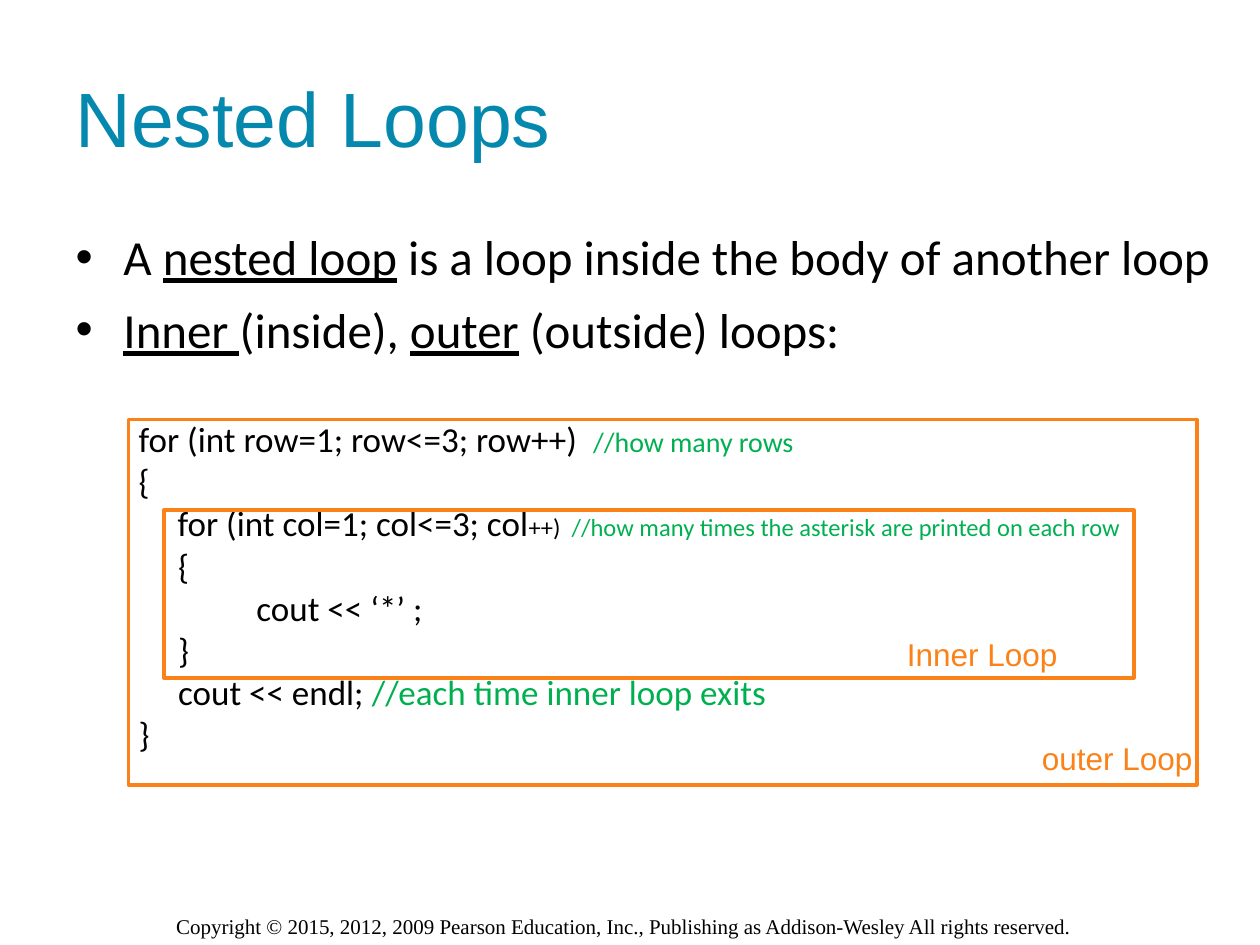
from dataclasses import dataclass

from lxml.etree import SubElement
from pptx import Presentation
from pptx.dml.color import RGBColor
from pptx.enum.shapes import MSO_SHAPE
from pptx.enum.text import MSO_ANCHOR, MSO_AUTO_SIZE, PP_ALIGN
from pptx.oxml.ns import qn
from pptx.util import Inches, Pt

BLACK = RGBColor(0x00, 0x00, 0x00)
TEAL = RGBColor(0x04, 0x88, 0xAE)
GREEN = RGBColor(0x00, 0xB0, 0x50)
ORANGE = RGBColor(0xFA, 0x82, 0x18)


@dataclass
class Piece:
    """A stretch of text; unset values follow the paragraph."""
    text: str
    size: float | None = None
    color: RGBColor | None = None
    underline: bool | None = None


@dataclass
class Box:
    left: float
    top: float
    width: float
    height: float


@dataclass
class Label:
    text: str
    box: Box
    size: float
    font_name: str
    color: RGBColor


BULLETS = [
    [Piece("A "), Piece("nested loop", underline=True),
     Piece(" is a loop inside the body of another loop")],
    [Piece("Inner ", underline=True), Piece("(inside), "),
     Piece("outer", underline=True), Piece(" (outside) loops:")],
]
CODE = [
    [Piece("for (int row=1; row<=3; row++)  "), Piece("//how many rows", 16, GREEN)],
    [Piece("{")],
    [Piece("\tfor (int col=1; col<=3; col"), Piece("++)  ", 14),
     Piece("//how many times the asterisk are printed on each row", 14, GREEN)],
    [Piece("     {")],
    [Piece("\t\t  cout << ‘*’ ;")],
    [Piece("     }")],
    [Piece("     cout << endl; "), Piece("//each time inner loop exits", color=GREEN)],
    [Piece("}")],
]
LOOP_FRAMES = [Box(1.3, 4.05, 7.7, 1.33), Box(1.02, 3.33, 8.48, 2.9)]
LABELS = [
    Label("Inner Loop", Box(7.1, 4.99, 1.5, 0.4), 18, "Arial", ORANGE),
    Label("outer Loop", Box(8.17, 5.82, 1.5, 0.4), 18, "Arial", ORANGE),
    Label("Copyright © 2015, 2012, 2009 Pearson Education, Inc., Publishing as "
          "Addison-Wesley All rights reserved.",
          Box(1.3, 7.2, 7.42, 0.3), 12, "Times New Roman", BLACK),
]


def place(shape, box: Box) -> None:
    shape.left, shape.top = Inches(box.left), Inches(box.top)
    shape.width, shape.height = Inches(box.width), Inches(box.height)


def set_font(paragraph, name: str, size: float, color: RGBColor) -> None:
    font = paragraph.font
    font.name, font.size = name, Pt(size)
    font.color.rgb = color


def set_indent(paragraph, margin: float, hanging: float) -> None:
    properties = paragraph._p.get_or_add_pPr()
    properties.set("marL", str(Inches(margin)))
    properties.set("indent", str(-Inches(hanging)))


def add_pieces(paragraph, pieces: list[Piece]) -> None:
    for piece in pieces:
        run = paragraph.add_run()
        run.text = piece.text
        if piece.size:
            run.font.size = Pt(piece.size)
        if piece.color:
            run.font.color.rgb = piece.color
        if piece.underline:
            run.font.underline = True


def format_bullet(paragraph, space_before: float) -> None:
    paragraph.space_before = Pt(space_before)
    set_indent(paragraph, 0.38, 0.38)
    SubElement(paragraph._p.get_or_add_pPr(), qn("a:buChar"), char="•")
    set_font(paragraph, "Calibri", 28, BLACK)


def format_code(paragraph, space_before: float) -> None:
    paragraph.level = 1
    paragraph.space_before = Pt(space_before)
    set_indent(paragraph, 0.81, 0.31)
    properties = paragraph._p.get_or_add_pPr()
    SubElement(properties, qn("a:buNone"))
    tabs = SubElement(properties, qn("a:tabLst"))
    for position in range(8):
        SubElement(tabs, qn("a:tab"), pos=str(Inches(position)), algn="l")
    set_font(paragraph, "Calibri", 20, BLACK)


def fill_body(body) -> None:
    frame = body.text_frame
    frame.auto_size = MSO_AUTO_SIZE.NONE
    for index, pieces in enumerate(BULLETS):
        paragraph = frame.add_paragraph() if index else frame.paragraphs[0]
        format_bullet(paragraph, 8 if index else 0)
        add_pieces(paragraph, pieces)
    for index, pieces in enumerate(CODE):
        paragraph = frame.add_paragraph()
        format_code(paragraph, 0 if index else 34)
        add_pieces(paragraph, pieces)


def add_frame(slide, box: Box) -> None:
    frame = slide.shapes.add_shape(MSO_SHAPE.RECTANGLE, 0, 0, 0, 0)
    place(frame, box)
    frame.shadow.inherit = False
    frame.fill.background()
    frame.line.color.rgb = ORANGE
    frame.line.width = Pt(2)


def add_label(slide, label: Label) -> None:
    text_box = slide.shapes.add_textbox(0, 0, 0, 0)
    place(text_box, label.box)
    text_box.text_frame.word_wrap = True
    paragraph = text_box.text_frame.paragraphs[0]
    paragraph.text = label.text
    set_font(paragraph, label.font_name, label.size, label.color)


def main() -> None:
    presentation = Presentation()
    presentation.slide_width, presentation.slide_height = Inches(10), Inches(7.5)
    slide = presentation.slides.add_slide(presentation.slide_layouts[1])

    # Title
    title = slide.shapes.title
    place(title, Box(0.5, 0.3, 9, 1.25))
    title.text_frame.vertical_anchor = MSO_ANCHOR.MIDDLE
    heading = title.text_frame.paragraphs[0]
    heading.text = "Nested Loops"
    heading.alignment = PP_ALIGN.LEFT
    set_font(heading, "Arial", 44, TEAL)

    # Bullets and code listing
    body = slide.placeholders[1]
    place(body, Box(0.5, 1.75, 9.33, 4.95))
    fill_body(body)

    # Loop outlines, their labels and the copyright line
    for box in LOOP_FRAMES:
        add_frame(slide, box)
    for label in LABELS:
        add_label(slide, label)

    presentation.save("out.pptx")


if __name__ == "__main__":
    main()
